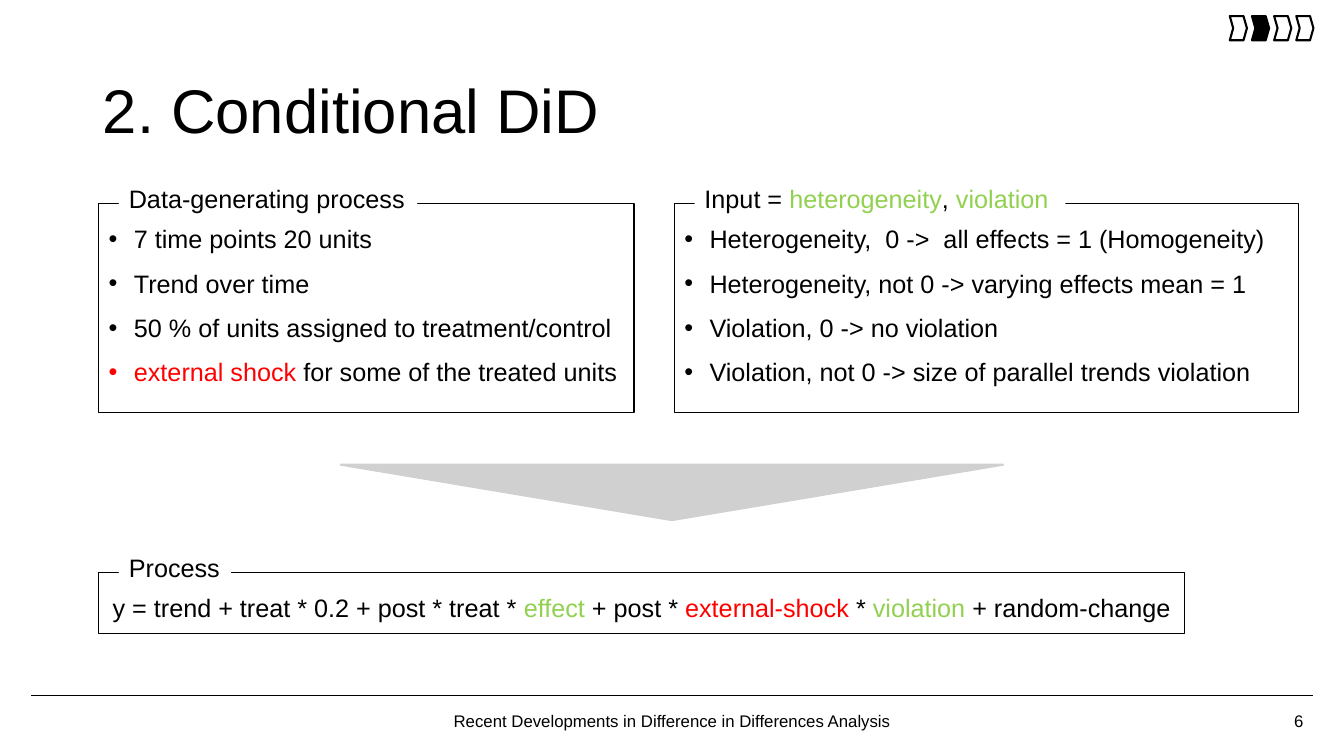
from pptx import Presentation
from pptx.dml.color import RGBColor
from pptx.enum.shapes import MSO_CONNECTOR, MSO_SHAPE
from pptx.enum.text import MSO_ANCHOR, MSO_AUTO_SIZE, PP_ALIGN
from pptx.oxml.ns import qn
from pptx.util import Inches, Pt
from lxml import etree

BLACK = RGBColor(0x00, 0x00, 0x00)
WHITE = RGBColor(0xFF, 0xFF, 0xFF)
GREEN = RGBColor(0x92, 0xD0, 0x50)
RED = RGBColor(0xFF, 0x00, 0x00)
GREY = RGBColor(0xD0, 0xD0, 0xD0)
RECTANGLE, TRIANGLE, CHEVRON = MSO_SHAPE.RECTANGLE, MSO_SHAPE.ISOSCELES_TRIANGLE, MSO_SHAPE.CHEVRON
STRAIGHT = MSO_CONNECTOR.STRAIGHT
TOP, MIDDLE = MSO_ANCHOR.TOP, MSO_ANCHOR.MIDDLE
LEFT, CENTER, RIGHT = PP_ALIGN.LEFT, PP_ALIGN.CENTER, PP_ALIGN.RIGHT
FIXED = MSO_AUTO_SIZE.NONE

DATA_POINTS = [
    [("7 time points 20 units", BLACK)],
    [("Trend over time", BLACK)],
    [("50 % of units assigned to treatment/control", BLACK)],
    [("external shock", RED), (" for some of the treated units", BLACK)],
]
INPUT_LABEL = [("Input = ", BLACK), ("heterogeneity", GREEN), (", ", BLACK), ("violation", GREEN)]
INPUT_POINTS = [
    [("Heterogeneity,  0 ->  all effects = 1 (Homogeneity)", BLACK)],
    [("Heterogeneity, not 0 -> varying effects mean = 1", BLACK)],
    [("Violation, 0 -> no violation", BLACK)],
    [("Violation, not 0 -> size of parallel trends violation", BLACK)],
]
FORMULA = [
    ("y = trend + treat * 0.2 + post * treat * ", BLACK),
    ("effect", GREEN),
    (" + post * ", BLACK),
    ("external-shock", RED),
    (" * ", BLACK),
    ("violation", GREEN),
    (" + random-change", BLACK),
]


class GridSlide:
    font = "Arial"
    cell = Inches(0.25)
    columns, rows = 53.33, 30
    body_size, footer_size, title_size = 18, 12, 44

    def __init__(self, deck):
        deck.slide_width, deck.slide_height = self.place(self.columns, self.rows)
        self.page = deck.slides.add_slide(deck.slide_layouts[5])

    def place(self, *cells):
        return [round(value * self.cell) for value in cells]

    def set_text(self, box, paragraphs, size, align=LEFT, anchor=TOP, top_inset=0.05, bullets=False):
        frame = box.text_frame
        frame.word_wrap = True
        frame.auto_size = FIXED
        frame.vertical_anchor = anchor
        frame.margin_left = frame.margin_right = Inches(0.1)
        frame.margin_top, frame.margin_bottom = Inches(top_inset), Inches(0.05)
        for index, spans in enumerate(paragraphs):
            para = frame.add_paragraph() if index else frame.paragraphs[0]
            para.alignment = align
            para.space_before = Pt(10 if index else 0)
            for text, color in spans:
                span = para.add_run()
                span.text = text
                span.font.name = self.font
                span.font.size = Pt(size)
                span.font.color.rgb = color
            if bullets:
                self.bullet(para)

    def bullet(self, para):
        properties = para._p.get_or_add_pPr()
        properties.set("marL", str(Inches(0.25)))
        properties.set("indent", str(-Inches(0.25)))
        etree.SubElement(properties, qn("a:buFont")).set("typeface", self.font)
        etree.SubElement(properties, qn("a:buChar")).set("char", "•")

    def title(self, text, area):
        box = self.page.shapes.title
        box.left, box.top, box.width, box.height = self.place(*area)
        self.set_text(box, [[(text, BLACK)]], self.title_size, anchor=MIDDLE)
        box.text_frame.paragraphs[0].line_spacing = 0.9

    def shape(self, kind, area, fill=None, line=None, weight=0.75, parent=None):
        box = (parent or self.page).shapes.add_shape(kind, *self.place(*area))
        box.shadow.inherit = False
        if fill is None:
            box.fill.background()
        else:
            box.fill.solid()
            box.fill.fore_color.rgb = fill
        if line is None:
            box.line.fill.background()
        else:
            box.line.color.rgb = line
            box.line.width = Pt(weight)
        return box

    def panel(self, area, label, label_width, paragraphs, align=LEFT, bullets=False):
        left, top = area[:2]
        frame = self.shape(RECTANGLE, area, line=BLACK)
        self.set_text(frame, paragraphs, self.body_size, align, top_inset=0.2, bullets=bullets)
        tab = self.shape(RECTANGLE, (left + 0.8, top - 1, label_width, 1.6), fill=WHITE)
        self.set_text(tab, [label], self.body_size)

    def pointer(self, area):
        triangle = self.shape(TRIANGLE, area, GREY, GREY, 1.5)
        triangle.rotation = 180

    def footer(self, text, area, align):
        box = self.page.shapes.add_textbox(*self.place(*area))
        self.set_text(box, [[(text, BLACK)]], self.footer_size, align, MIDDLE)

    def rule(self, start, end, row):
        line = self.page.shapes.add_connector(STRAIGHT, *self.place(start, row, end, row))
        line.line.color.rgb = BLACK
        line.line.width = Pt(1)
        etree.SubElement(line._element.spPr, qn("a:effectLst"))

    def progress(self, count, current, left, top, step):
        group = self.page.shapes.add_group_shape()
        for index in range(count):
            area = (left + index * step, top, 0.68, 0.96)
            fill = BLACK if index == current else None
            marker = self.shape(CHEVRON, area, fill, BLACK, 1.5, group)
            marker.adjustments[0] = 0.2


def main():
    deck = Presentation()
    slide = GridSlide(deck)
    slide.rule(1.24, 52.12, 27.6)
    slide.title("2. Conditional DiD", (3.68, 1.6, 46, 5.8))
    slide.panel((3.92, 8.08, 21.24, 8.28), [("Data-generating process", BLACK)], 11.84,
                DATA_POINTS, bullets=True)
    slide.panel((26.76, 8.08, 24.76, 8.28), INPUT_LABEL, 14.72, INPUT_POINTS, bullets=True)
    slide.pointer((13.52, 18.44, 26.28, 2.2))
    slide.panel((3.92, 22.72, 43.08, 2.44), [("Process", BLACK)], 4.44, [FORMULA], CENTER)
    slide.footer("Recent Developments in Difference in Differences Analysis",
                 (17.16, 27.8, 19.04, 1.6), CENTER)
    slide.footer("6", (40.12, 27.8, 12, 1.6), RIGHT)
    slide.progress(4, 1, 48.8, 0.64, 0.88)
    deck.save("out.pptx")


if __name__ == "__main__":
    main()
